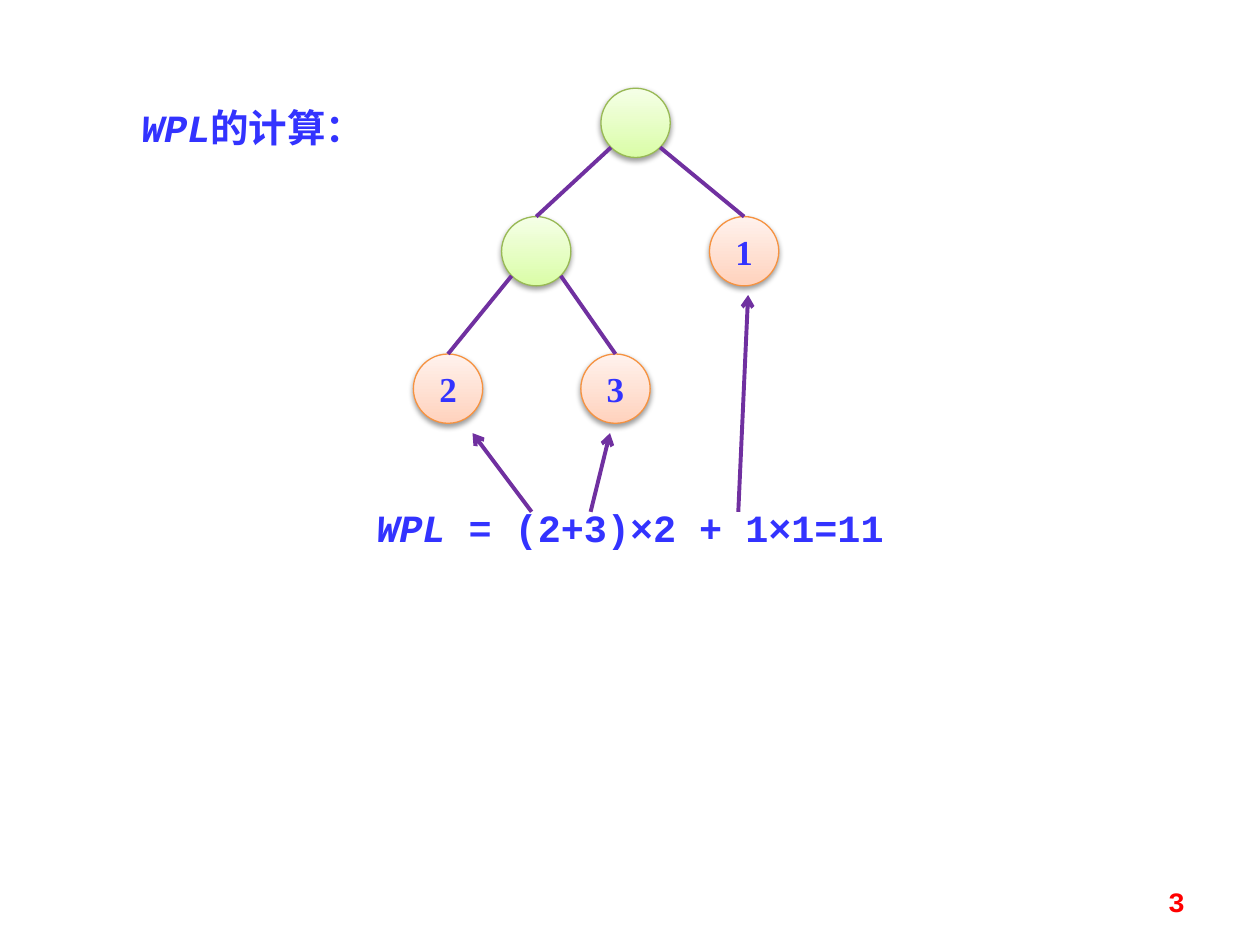
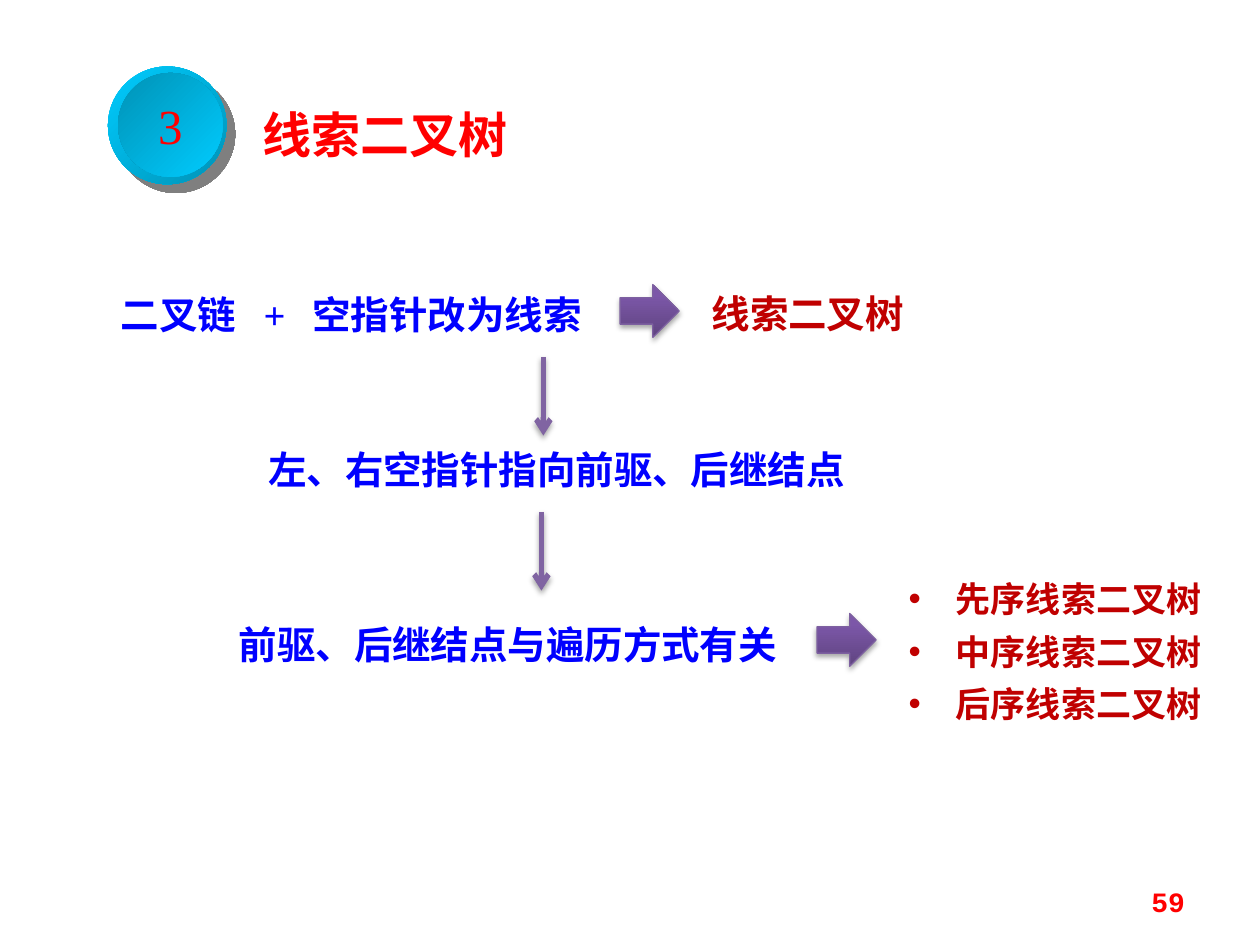
"""Two slides on binary trees: computing the WPL, and threaded binary trees."""
from lxml import etree
from pptx import Presentation
from pptx import util as u
from pptx.dml import color
from pptx.enum import shapes, text
from pptx.oxml import ns

COLORS = {
    "violet_blue": "3333FF", "blue": "0000FF", "red": "FF0000", "dark_red": "C00000",
    "purple": "7030A0", "soft_purple": "8064A2", "arrow_edge": "7D60A0",
    "arrow_dark": "5F4480", "arrow_light": "7C57A8",
    "green_dark": "DAFDA7", "green_light": "F5FFE7", "green_edge": "98B955",
    "peach_dark": "FFD2BD", "peach_light": "FFF2ED", "peach_edge": "F69240",
    "cyan": "00CCFF", "teal": "0092B6", "black": "000000",
}
RGB = {name: color.RGBColor.from_string(value) for name, value in COLORS.items()}
CJK, TIMES, COURIER = "Noto Sans CJK SC", "Times New Roman", "Courier New"
LEFT, CENTER, RIGHT = text.PP_ALIGN.LEFT, text.PP_ALIGN.CENTER, text.PP_ALIGN.RIGHT
FRAME = {
    "word_wrap": True, "auto_size": text.MSO_AUTO_SIZE.NONE,
    "margin_left": u.Pt(7.2), "margin_right": u.Pt(7.2),
    "margin_top": u.Pt(3.6), "margin_bottom": u.Pt(3.6),
}
FORMULA = {"name": COURIER, "size": u.Pt(22), "bold": True}
STATEMENT = {"name": TIMES, "size": u.Pt(22), "bold": True}
HEADING = {"name": CJK, "size": u.Pt(28), "bold": True}
RESULT = {"name": CJK, "size": u.Pt(22), "bold": True}
KINDS = {"name": CJK, "size": u.Pt(20), "bold": True}
KEY = {"name": TIMES, "size": u.Pt(20), "bold": True}
BADGE = {"name": TIMES, "size": u.Pt(28), "bold": False}
PAGE = {"name": COURIER, "size": u.Pt(16), "bold": True}
ITALIC, UPRIGHT = True, False
TREE_SHADOW = {"alpha": 38, "blur": 3.1, "dist": 1.6, "angle": 90}
FLOW_SHADOW = {"alpha": 35, "blur": 3.1, "dist": 1.8, "angle": 90}
BADGE_SHADOW = {"alpha": 50, "blur": 0, "dist": 7.1, "angle": 45}


def write(shape, paragraphs, font, ink, align=LEFT, anchor=text.MSO_ANCHOR.TOP, leading=None):
    """Fill a shape with paragraphs, each a list of (words, italic) runs."""
    frame = shape.text_frame
    for name, value in {**FRAME, "vertical_anchor": anchor}.items():
        setattr(frame, name, value)
    for index, runs in enumerate(paragraphs):
        paragraph = frame.add_paragraph() if index else frame.paragraphs[0]
        layout = {"alignment": align, "line_spacing": leading, "space_before": u.Pt(0)}
        for name, value in layout.items():
            setattr(paragraph, name, value)
        for words, italic in runs:
            run = paragraph.add_run()
            run.text = words
            for name, value in {**font, "italic": italic}.items():
                setattr(run.font, name, value)
            run.font.color.rgb = RGB[ink]
            etree.SubElement(run.font._element, ns.qn("a:ea"), typeface=CJK)
    return frame


def dress(shape, edge, width, stops=None, angle=90, shadow=None, arrow=False):
    """Set the line, gradient, shadow and arrowhead of a shape or connector."""
    if edge:
        shape.line.color.rgb = RGB[edge]
        shape.line.width = u.Pt(width)
    else:
        shape.line.fill.background()
    if arrow:
        etree.SubElement(shape.line._get_or_add_ln(), ns.qn("a:tailEnd"), type="arrow")
    if stops:
        shape.fill.gradient()
        shape.fill.gradient_angle = angle
        for stop, name in zip(shape.fill.gradient_stops, stops):
            stop.color.rgb = RGB[name]
    effects = etree.SubElement(shape.element.spPr, ns.qn("a:effectLst"))
    if shadow:
        cast = etree.SubElement(
            effects, ns.qn("a:outerShdw"), blurRad=str(u.Pt(shadow["blur"])),
            dist=str(u.Pt(shadow["dist"])), dir=str(shadow["angle"] * 60000),
            algn="ctr", rotWithShape="0")
        tint = etree.SubElement(cast, ns.qn("a:srgbClr"), val=COLORS["black"])
        etree.SubElement(tint, ns.qn("a:alpha"), val=str(shadow["alpha"] * 1000))


deck = Presentation()
deck.slide_width, deck.slide_height = u.Pt(720), u.Pt(540)
wpl = deck.slides.add_slide(deck.slide_layouts[5])
threaded = deck.slides.add_slide(deck.slide_layouts[1])

titles = [
    (wpl, (73.5, 56, 174, 34), [("WPL", ITALIC), ("的计算：", UPRIGHT)], FORMULA, "violet_blue"),
    (threaded, (143, 56, 200, 42), [("线索二叉树", UPRIGHT)], HEADING, "red"),
]
for slide, box, runs, font, ink in titles:
    title = slide.shapes.title
    title.left, title.top, title.width, title.height = map(u.Pt, box)
    write(title, [runs], font, ink)

RADIUS = 19.8
CORNER = RADIUS * 0.71
LEVELS = [70.2, 143.6, 222.1]
tree = {
    "root": (363.2, LEVELS[0], None, ""),
    "inner": (306.4, LEVELS[1], "root", ""),
    "one": (425.2, LEVELS[1], "root", "1"),
    "two": (256, LEVELS[2], "inner", "2"),
    "three": (351.7, LEVELS[2], "inner", "3"),
}
for x, y, parent, weight in tree.values():
    node = wpl.shapes.add_shape(
        shapes.MSO_SHAPE.OVAL, u.Pt(x - RADIUS), u.Pt(y - RADIUS), u.Pt(2 * RADIUS), u.Pt(2 * RADIUS))
    hue = "peach" if weight else "green"
    dress(node, f"{hue}_edge", 0.75, (f"{hue}_dark", f"{hue}_light"), shadow=TREE_SHADOW)
    if weight:
        write(node, [[(weight, UPRIGHT)]], KEY, "violet_blue", CENTER, text.MSO_ANCHOR.MIDDLE)
    if parent:
        parent_x, parent_y = tree[parent][:2]
        side = CORNER if x > parent_x else -CORNER
        ends = (parent_x + side, parent_y + CORNER, x, y - RADIUS)
        branch = wpl.shapes.add_connector(shapes.MSO_CONNECTOR.STRAIGHT, *map(u.Pt, ends))
        dress(branch, "purple", 2.25)

formula = wpl.shapes.add_textbox(*map(u.Pt, (186, 284.4, 348, 34)))
write(formula, [[("WPL ", ITALIC), ("= (2+3)×2 + 1×1=11", UPRIGHT)]], FORMULA, "violet_blue", CENTER)
for term_x, leaf_x, leaf_y in [(303.8, 270, 247.5), (337.5, 348.6, 247.5), (421.9, 427.5, 168.6)]:
    pointer = wpl.shapes.add_connector(
        shapes.MSO_CONNECTOR.STRAIGHT, *map(u.Pt, (term_x, 292.5, leaf_x, leaf_y)))
    dress(pointer, "purple", 2.25, arrow=True)

rim = threaded.shapes.add_shape(shapes.MSO_SHAPE.OVAL, *map(u.Pt, (61.7, 38, 67.7, 67.3)))
dress(rim, None, 0, ("cyan", "teal"), 315, BADGE_SHADOW)
face = threaded.shapes.add_shape(shapes.MSO_SHAPE.OVAL, *map(u.Pt, (67.5, 41.7, 59.8, 59.4)))
dress(face, None, 0, ("teal", "cyan"), 315)
write(face, [[("3", UPRIGHT)]], BADGE, "red", CENTER, text.MSO_ANCHOR.MIDDLE)

statements = [
    (62, 159, 298, "二叉链\t+\t空指针改为线索", STATEMENT, "blue"),
    (399.6, 158.4, 146, "线索二叉树", RESULT, "dark_red"),
    (146.2, 247.5, 354, "左、右空指针指向前驱、后继结点", STATEMENT, "blue"),
    (129.4, 347.6, 338, "前驱、后继结点与遍历方式有关", STATEMENT, "blue"),
]
for left, top, width, words, font, ink in statements:
    statement = threaded.shapes.add_textbox(*map(u.Pt, (left, top, width, 37.2)))
    frame = write(statement, [[(words, UPRIGHT)]], font, ink, leading=u.Pt(30))
    if "\t" in words:
        stops = etree.SubElement(frame.paragraphs[0]._p.get_or_add_pPr(), ns.qn("a:tabLst"))
        for position in (81.5, 109.5):
            etree.SubElement(stops, ns.qn("a:tab"), pos=str(u.Pt(position)), algn="l")

for left, top in [(354.4, 162.6), (466.9, 350.6)]:
    leads_to = threaded.shapes.add_shape(
        shapes.MSO_SHAPE.RIGHT_ARROW, *map(u.Pt, (left, top, 33.8, 30.2)))
    dress(leads_to, "arrow_edge", 0.75, ("arrow_dark", "arrow_light"), shadow=FLOW_SHADOW)
    leads_to.fill.gradient_stops[1].position = 0.8

for x, top in [(310.5, 203.9), (309.4, 292.5)]:
    step = threaded.shapes.add_connector(
        shapes.MSO_CONNECTOR.STRAIGHT, *map(u.Pt, (x, top, x, top + 45)))
    dress(step, "soft_purple", 3, shadow=FLOW_SHADOW, arrow=True)

kinds = threaded.placeholders[1]
kinds.left, kinds.top, kinds.width, kinds.height = map(u.Pt, (512, 320.6, 191.5, 98))
orders = [[(f"{order}序线索二叉树", UPRIGHT)] for order in "先中后"]
for paragraph in write(kinds, orders, KINDS, "dark_red", leading=u.Pt(30)).paragraphs:
    indents = paragraph._p.get_or_add_pPr()
    indents.set("marL", str(u.Pt(27)))
    indents.set("indent", str(u.Pt(-27)))

for slide, number in [(wpl, "3"), (threaded, "59")]:
    page = slide.shapes.add_textbox(*map(u.Pt, (516.2, 500.5, 168, 28.8)))
    write(page, [[(number, UPRIGHT)]], PAGE, "red", RIGHT, text.MSO_ANCHOR.MIDDLE)

deck.save("out.pptx")
